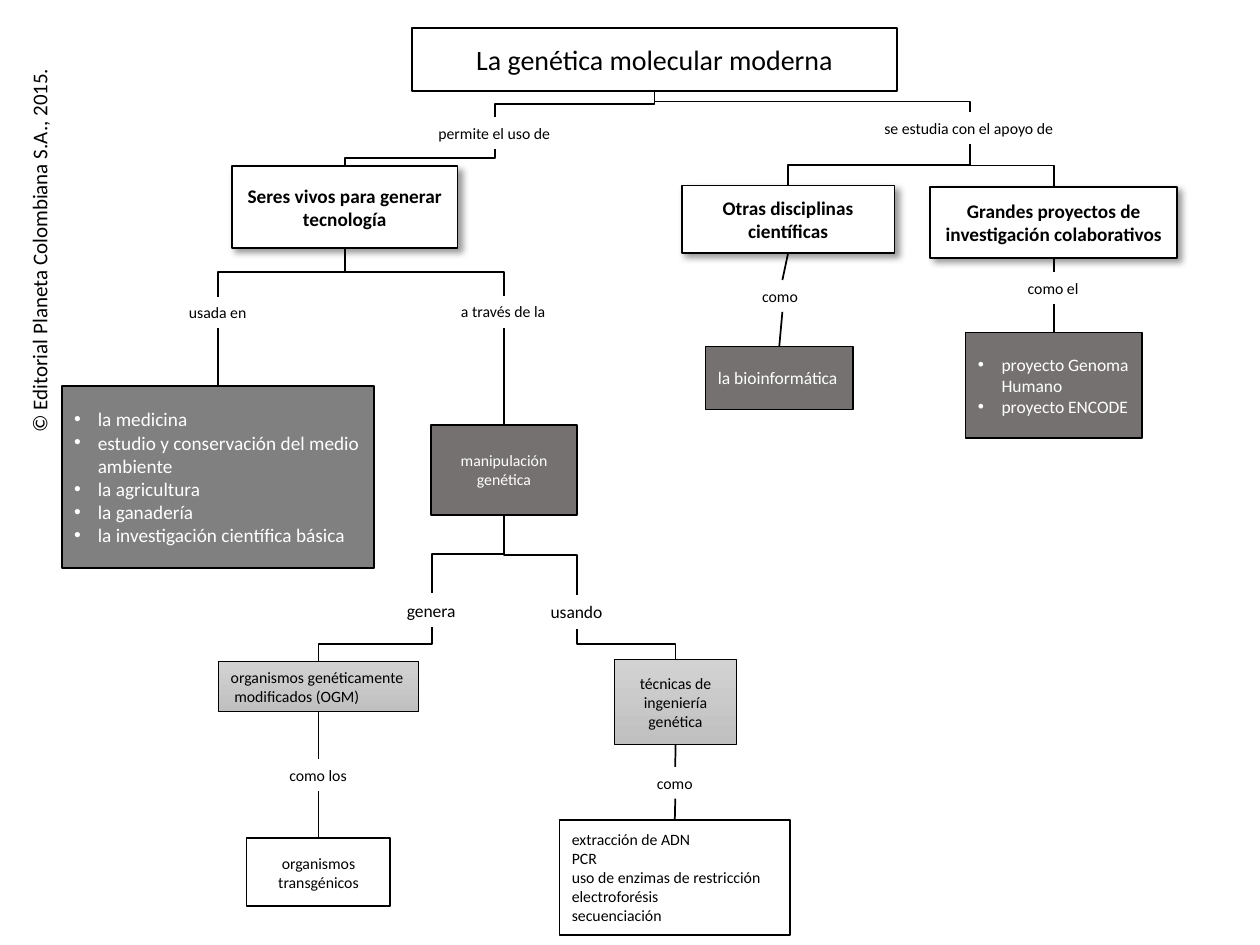
from lxml.etree import SubElement
from pptx import Presentation
from pptx.dml.color import RGBColor
from pptx.enum.shapes import MSO_CONNECTOR, MSO_SHAPE
from pptx.enum.text import MSO_ANCHOR, PP_ALIGN
from pptx.oxml.ns import qn
from pptx.util import Pt

BLACK, WHITE, GRAY, DARK = "000000", "FFFFFF", "808080", "767171"
GRADIENT = ("D2D2D2", "C0C0C0")
CREDIT = "© Editorial Planeta Colombiana S.A., 2015."

# Styles of the concept boxes
HEADING = dict(size=11, bold=True, shadow=True)
SMALL = dict(size=9)
SHADED = dict(size=9, fill=GRADIENT, line_width=0.5)
LIST = dict(color=WHITE, align=PP_ALIGN.LEFT, bullet=True)

# name: (paragraphs, centre x, top, width, height, style)
BOXES = {
    "title": (["La genética molecular moderna"], 374, 16, 277.2, 36, dict(size=16)),
    "organisms": (["Seres vivos para generar tecnología"], 197, 95, 129, 46.8, HEADING),
    "disciplines": (["Otras disciplinas científicas"], 450.4, 106, 121.7, 38.4, HEADING),
    "projects": (["Grandes proyectos de investigación colaborativos"],
                 602.2, 107, 141.1, 40.3, HEADING),
    "fields": (["la medicina", "estudio y conservación del medio ambiente", "la agricultura",
                "la ganadería", "la investigación científica básica"],
               124.6, 220.4, 178.6, 104.4, dict(LIST, size=11, fill=GRAY)),
    "manipulation": (["manipulación genética"], 288, 242.7, 83.5, 51.8,
                     dict(size=9, fill=DARK, color=WHITE)),
    "bioinformatics": (["la bioinformática"], 445.3, 198, 84.2, 36,
                       dict(size=10, fill=DARK, color=WHITE, align=PP_ALIGN.LEFT)),
    "genome": (["proyecto Genoma Humano", "proyecto ENCODE"], 602.2, 190, 100.8, 60.5,
               dict(LIST, size=10, fill=DARK)),
    "modified": (["organismos genéticamente", " modificados (OGM)"], 182, 378, 114.5, 28.8,
                 dict(SHADED, align=PP_ALIGN.LEFT)),
    "techniques": (["técnicas de ingeniería genética"], 386, 377, 69.8, 48.4, SHADED),
    "transgenic": (["organismos transgénicos"], 182, 479, 82.1, 38.9, SMALL),
    "methods": (["extracción de ADN", "PCR", "uso de enzimas de restricción",
                 "electroforésis", "secuenciación"],
                385.6, 468.6, 131.8, 65.5, dict(size=9, align=PP_ALIGN.LEFT)),
}

# name: (text, centre x, top, width, size)
LABELS = {
    "allows": ("permite el uso de", 283, 67, 79.2, 9),
    "supported": ("se estudia con el apoyo de", 554.4, 64, 112.3, 9),
    "used in": ("usada en", 124.6, 169.5, 47.5, 9),
    "through": ("a través de la", 288, 169, 63.4, 9),
    "such as": ("como", 447.1, 160, 37.4, 9),
    "such as the": ("como el", 602.2, 155.6, 44, 9),
    "generates": ("genera", 247, 339, 43.2, 10),
    "using": ("usando", 329.8, 340, 44.6, 10),
    "like the": ("como los", 182, 434, 47.5, 9),
    "like": ("como", 385.9, 438.2, 35.3, 9),
}

# Each link runs from the bottom of one node to the top of the next
LINKS = [
    ("title", "allows"), ("title", "supported"), ("allows", "organisms"),
    ("supported", "disciplines"), ("supported", "projects"),
    ("organisms", "used in"), ("organisms", "through"),
    ("used in", "fields"), ("through", "manipulation"),
    ("disciplines", "such as"), ("such as", "bioinformatics"),
    ("projects", "such as the"), ("such as the", "genome"),
    ("manipulation", "generates"), ("manipulation", "using"),
    ("generates", "modified"), ("using", "techniques"),
    ("modified", "like the"), ("like the", "transgenic"),
    ("techniques", "like"), ("like", "methods"),
]
STRAIGHT_LIMIT = 6  # smaller sideways offsets get a straight line


def rgb(value):
    return RGBColor.from_string(value)


def write_text(shape, paragraphs, size, color=BLACK, bold=False,
               align=PP_ALIGN.LEFT, bullet=False, wrap=True):
    frame = shape.text_frame
    frame.word_wrap = wrap
    frame.vertical_anchor = MSO_ANCHOR.MIDDLE
    frame.text = "\n".join(paragraphs)
    for paragraph in frame.paragraphs:
        paragraph.alignment = align
        if bullet:
            properties = paragraph._p.get_or_add_pPr()
            properties.set("marL", str(Pt(13.5)))
            properties.set("indent", str(-Pt(13.5)))
            SubElement(properties, qn("a:buFont"), typeface="Arial")
            SubElement(properties, qn("a:buChar"), char="•")
        for run in paragraph.runs:
            run.font.name = "Calibri"
            run.font.size = Pt(size)
            run.font.bold = bold
            run.font.color.rgb = rgb(color)


def add_shadow(shape):
    effects = shape._element.spPr.find(qn("a:effectLst"))
    outer = SubElement(effects, qn("a:outerShdw"), blurRad=str(Pt(4)), dist=str(Pt(3)),
                       dir="2700000", algn="tl", rotWithShape="0")
    color = SubElement(outer, qn("a:srgbClr"), val=BLACK)
    SubElement(color, qn("a:alpha"), val="40000")


def add_box(slide, paragraphs, center, top, width, height,
            fill=WHITE, line_width=1, shadow=False, align=PP_ALIGN.CENTER, **text_format):
    shape = slide.shapes.add_shape(MSO_SHAPE.RECTANGLE, Pt(center - width / 2), Pt(top),
                                   Pt(width), Pt(height))
    if fill == GRADIENT:
        shape.fill.gradient()
        shape.fill.gradient_angle = 270
        for stop, color in zip(shape.fill.gradient_stops, GRADIENT):
            stop.color.rgb = rgb(color)
    else:
        shape.fill.solid()
        shape.fill.fore_color.rgb = rgb(fill)
    shape.line.color.rgb = rgb(BLACK)
    shape.line.width = Pt(line_width)
    shape.shadow.inherit = False
    if shadow:
        add_shadow(shape)
    write_text(shape, paragraphs, align=align, **text_format)


def add_label(slide, text, center, top, width, height, size):
    shape = slide.shapes.add_textbox(Pt(center - width / 2), Pt(top), Pt(width), Pt(height))
    write_text(shape, [text], size=size, wrap=False)
    return shape


def add_link(slide, x1, y1, x2, y2):
    bent = abs(x2 - x1) > STRAIGHT_LIMIT
    kind = MSO_CONNECTOR.ELBOW if bent else MSO_CONNECTOR.STRAIGHT
    ends = (x1, y1, x2, y2)
    if bent:
        # The elbow is laid out sideways, then turned so that it leaves downwards
        middle_x, middle_y = (x1 + x2) / 2, (y1 + y2) / 2
        half_width, half_height = (y2 - y1) / 2, abs(x2 - x1) / 2
        ends = (middle_x - half_width, middle_y - half_height,
                middle_x + half_width, middle_y + half_height)
    connector = slide.shapes.add_connector(kind, *[Pt(value) for value in ends])
    properties = connector._element.spPr
    if bent:
        transform = properties.find(qn("a:xfrm"))
        transform.set("rot", str((270 if x2 > x1 else 90) * 60000))
        if x2 > x1:
            transform.set("flipH", "1")
    connector.line.color.rgb = rgb(BLACK)
    connector.line.width = Pt(1)
    SubElement(properties, qn("a:effectLst"))


def main():
    presentation = Presentation()
    presentation.slide_width, presentation.slide_height = Pt(720), Pt(540)
    slide = presentation.slides.add_slide(presentation.slide_layouts[6])

    # Copyright line along the left edge
    add_label(slide, CREDIT, 22.3, 131, 224.6, 21.6, 12).rotation = 270

    # Concepts and linking words, keeping where each one starts and ends
    places = {}
    for name, (paragraphs, center, top, width, height, style) in BOXES.items():
        add_box(slide, paragraphs, center, top, width, height, **style)
        places[name] = (center, top, top + height)
    for name, (text, center, top, width, size) in LABELS.items():
        height = 18.2 if size == 9 else 19.4
        add_label(slide, text, center, top, width, height, size)
        places[name] = (center, top, top + height)

    # Lines
    for parent, child in LINKS:
        start_x, _, start_y = places[parent]
        end_x, end_y, _ = places[child]
        add_link(slide, start_x, start_y, end_x, end_y)

    presentation.save("out.pptx")


if __name__ == "__main__":
    main()
